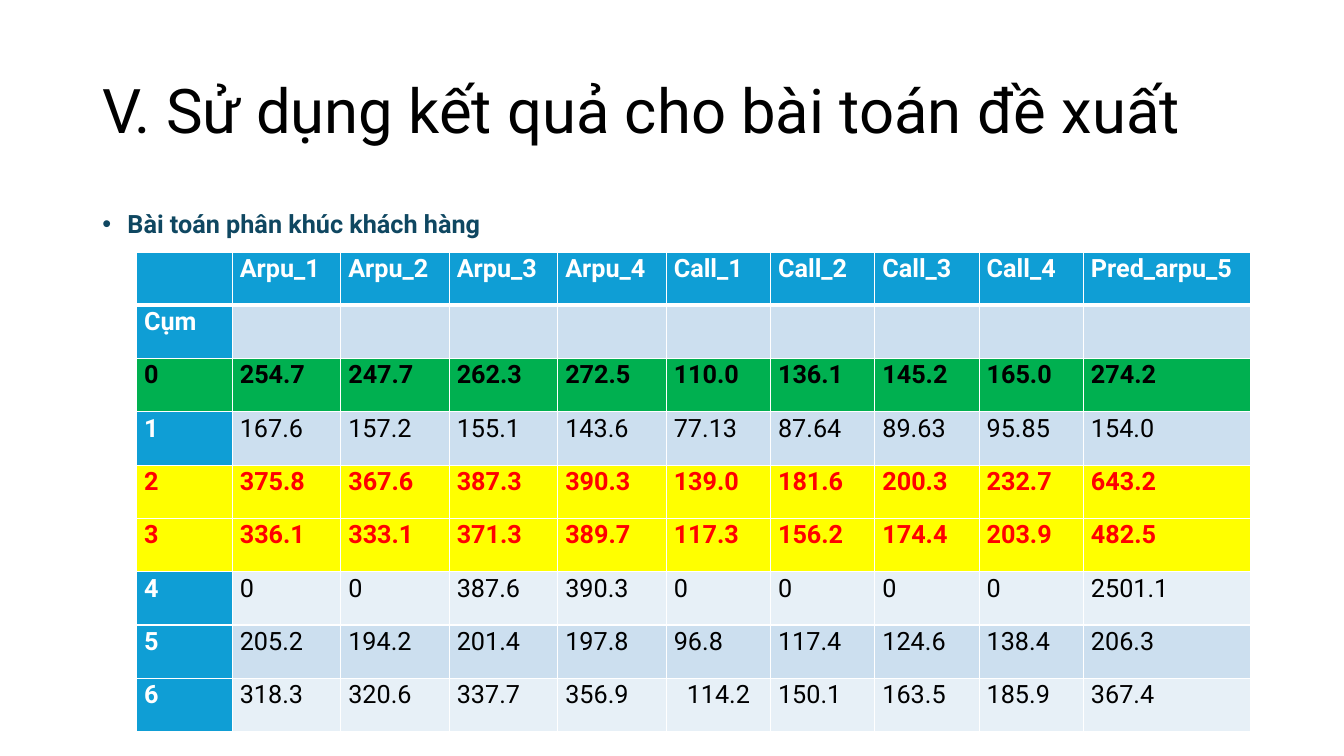
import dataclasses

import lxml.etree
import pptx
import pptx.dml.color
import pptx.enum.text
import pptx.oxml.ns
import pptx.util

Pt = pptx.util.Pt
Align = pptx.enum.text.PP_ALIGN
Anchor = pptx.enum.text.MSO_ANCHOR
qn = pptx.oxml.ns.qn


@dataclasses.dataclass(frozen=True)
class Theme:
    font: str = "Roboto"
    title_size: int = 44
    text_size: int = 18
    black: str = "000000"
    white: str = "FFFFFF"
    heading: str = "0F4761"
    header: str = "0F9ED5"
    dark_band: str = "CCDFEF"
    light_band: str = "E7F0F7"
    green: str = "00B050"
    yellow: str = "FFFF00"
    red: str = "FF0000"


theme = Theme()


def write(para, text, color, size=theme.text_size, bold=False, **spacing):
    for name, value in spacing.items():
        setattr(para, name, value)
    span = para.add_run()
    span.text = text
    font_format = {"name": theme.font, "size": Pt(size), "bold": bold}
    for name, value in font_format.items():
        setattr(span.font, name, value)
    span.font.color.rgb = pptx.dml.color.RGBColor.from_string(color)


def add_borders(cell, widths):
    """Draw white cell borders; widths run left, right, top, bottom."""
    properties = cell._tc.get_or_add_tcPr()
    for index, (side, width) in enumerate(zip("LRTB", widths)):
        line = lxml.etree.Element(qn(f"a:ln{side}"), w=str(Pt(width)))
        solid = lxml.etree.SubElement(line, qn("a:solidFill"))
        lxml.etree.SubElement(solid, qn("a:srgbClr"), val=theme.white)
        properties.insert(index, line)


deck = pptx.Presentation()
deck.slide_width, deck.slide_height = Pt(960), Pt(540)
page = deck.slides.add_slide(deck.slide_layouts[6])

# Title
title = page.shapes.add_textbox(Pt(66), Pt(28.8), Pt(828), Pt(104.4)).text_frame
title.word_wrap = True
title.vertical_anchor = Anchor.MIDDLE
write(title.paragraphs[0], "V. Sử dụng kết quả cho bài toán đề xuất", theme.black,
      theme.title_size, line_spacing=0.9)

# Bulleted heading
heading = page.shapes.add_textbox(Pt(66), Pt(144), Pt(828), Pt(36)).text_frame
heading.word_wrap = True
para = heading.paragraphs[0]
para_properties = para._p.get_or_add_pPr()
para_properties.set("marL", str(Pt(18)))
para_properties.set("indent", str(-Pt(18)))
lxml.etree.SubElement(para_properties, qn("a:buFont"), typeface="Arial")
lxml.etree.SubElement(para_properties, qn("a:buChar"), char="•")
write(para, "Bài toán phân khúc khách hàng", theme.heading, bold=True,
      line_spacing=1.07, space_after=Pt(4))

# Customer segments
segments = [
    ["", "Arpu_1", "Arpu_2", "Arpu_3", "Arpu_4",
     "Call_1", "Call_2", "Call_3", "Call_4", "Pred_arpu_5"],
    ["Cụm"] + [""] * 9,
    ["0", "254.7", "247.7", "262.3", "272.5", "110.0", "136.1", "145.2", "165.0", "274.2"],
    ["1", "167.6", "157.2", "155.1", "143.6", "77.13", "87.64", "89.63", "95.85", "154.0"],
    ["2", "375.8", "367.6", "387.3", "390.3", "139.0", "181.6", "200.3", "232.7", "643.2"],
    ["3", "336.1", "333.1", "371.3", "389.7", "117.3", "156.2", "174.4", "203.9", "482.5"],
    ["4", "0", "0", "387.6", "390.3", "0", "0", "0", "0", "2501.1"],
    ["5", "205.2", "194.2", "201.4", "197.8", "96.8", "117.4", "124.6", "138.4", "206.3"],
    ["6", "318.3", "320.6", "337.7", "356.9", "114.2", "150.1", "163.5", "185.9", "367.4"],
]
highlights = {  # row: fill, text colour
    2: (theme.green, theme.black),
    4: (theme.yellow, theme.red),
    5: (theme.yellow, theme.red),
}
centred_cell = (8, 5)
column_widths = [68.4] + [77.5] * 4 + [74.5] * 4 + [119.6]
row_height = 38.08

table = page.shapes.add_table(
    len(segments), len(column_widths), Pt(97.5), Pt(180),
    Pt(sum(column_widths)), Pt(row_height * len(segments))).table
table.horz_banding = False
for column, width in zip(table.columns, column_widths):
    column.width = Pt(width)

for row, values in enumerate(segments):
    table.rows[row].height = Pt(row_height)
    for col, value in enumerate(values):
        is_header = row == 0 or col == 0
        if row in highlights:
            fill, color = highlights[row]
        elif is_header:
            fill, color = theme.header, theme.white
        else:
            fill = theme.dark_band if row % 2 else theme.light_band
            color = theme.black
        cell = table.cell(row, col)
        cell.fill.solid()
        cell.fill.fore_color.rgb = pptx.dml.color.RGBColor.from_string(fill)
        add_borders(cell, (1, 1, 3 if row == 1 else 1, 3 if row == 0 else 1))
        if value:
            cell.margin_left = cell.margin_right = Pt(5.4)
            cell.margin_top = cell.margin_bottom = Pt(0)
            align = Align.CENTER if (row, col) == centred_cell else Align.LEFT
            write(cell.text_frame.paragraphs[0], value, color,
                  bold=is_header or row in highlights,
                  alignment=align, line_spacing=1.07, space_after=Pt(8))

deck.save("out.pptx")
